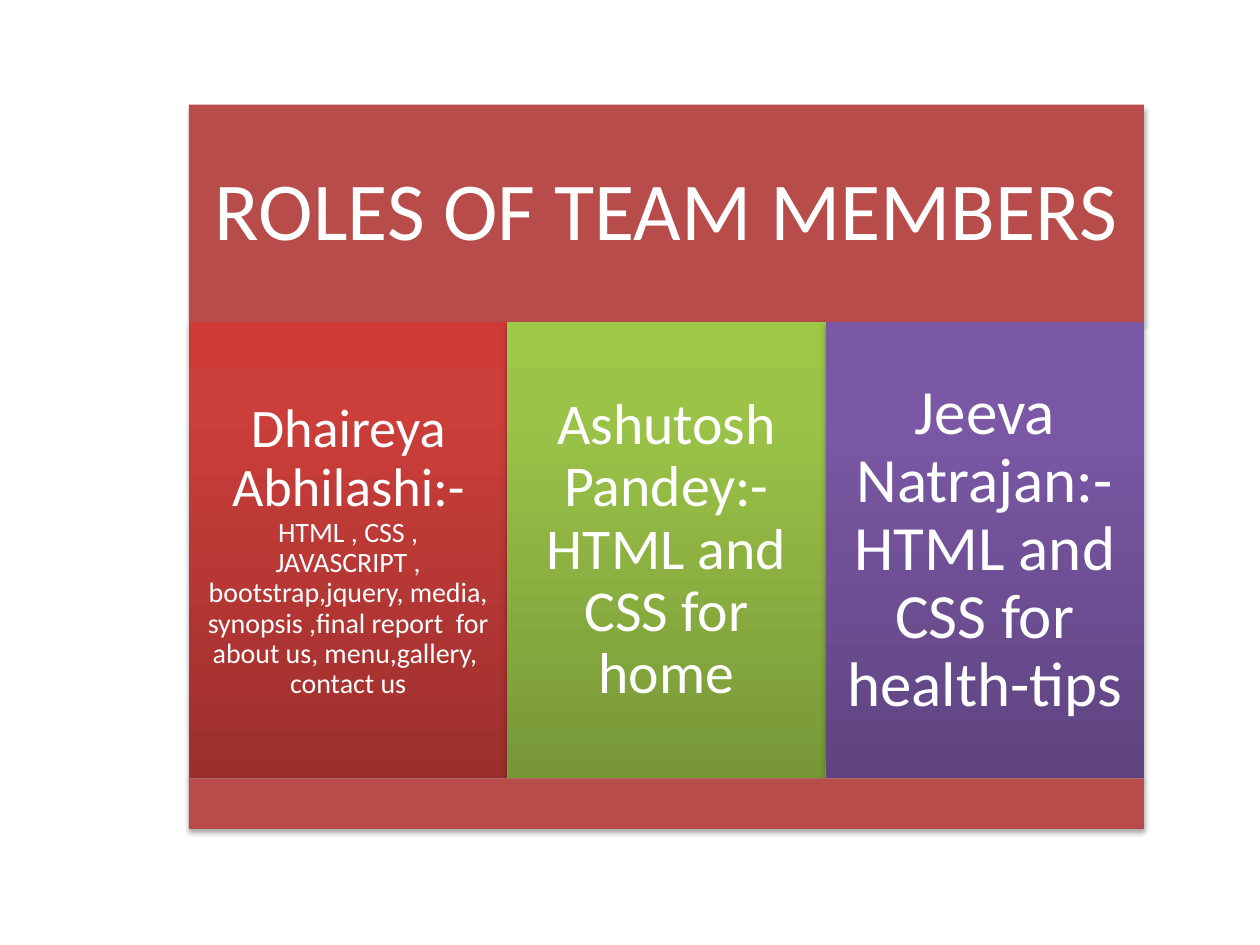
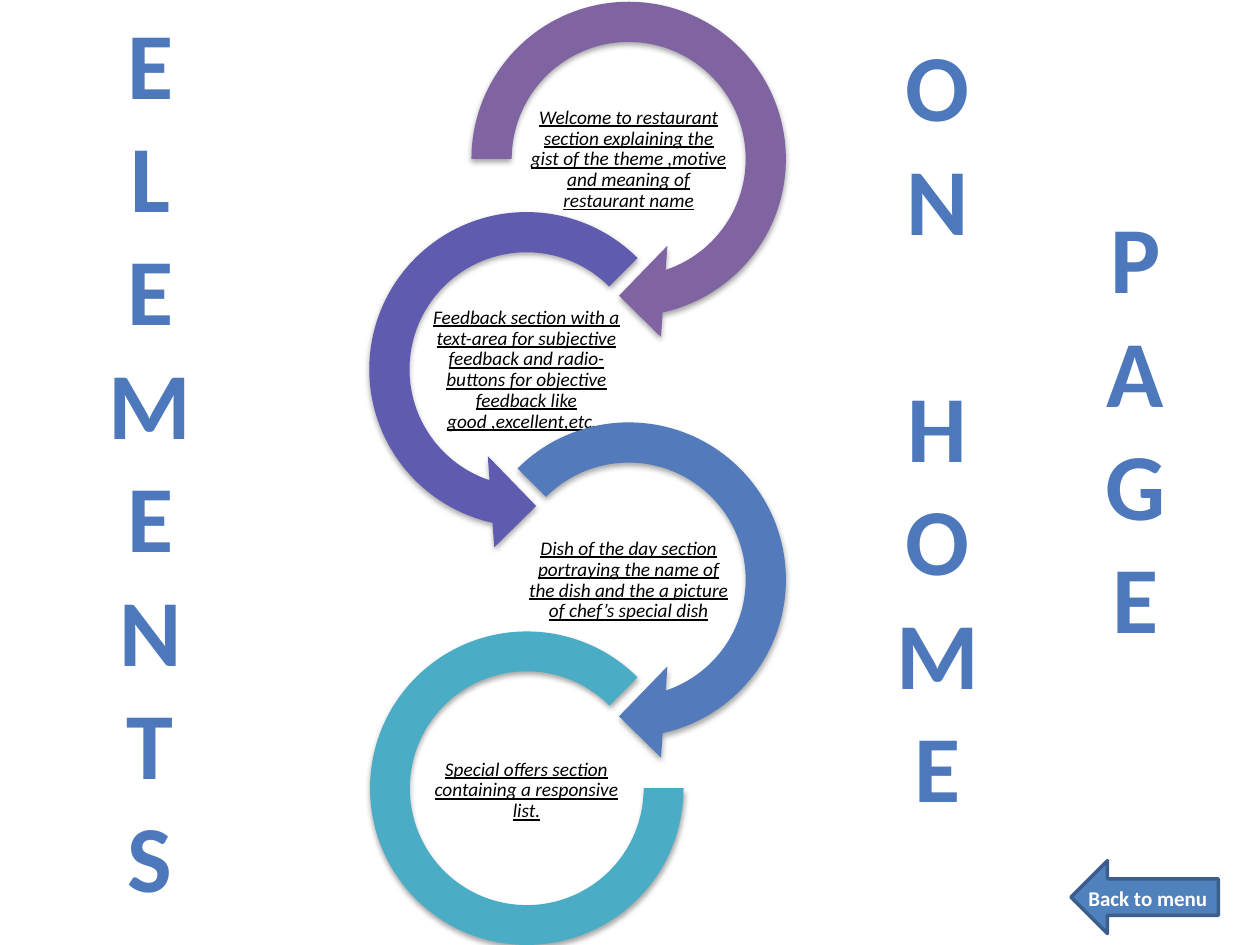
from copy import deepcopy

from lxml.etree import SubElement
from pptx import Presentation
from pptx.dml.color import RGBColor
from pptx.enum.shapes import MSO_SHAPE
from pptx.enum.text import MSO_ANCHOR, PP_ALIGN
from pptx.oxml.ns import qn
from pptx.util import Cm, Pt

WHITE = RGBColor(0xFF, 0xFF, 0xFF)
BLACK = RGBColor(0x00, 0x00, 0x00)
BRICK = RGBColor(0xB7, 0x4C, 0x4A)
REDS = RGBColor(0x9C, 0x2F, 0x2D), RGBColor(0xCB, 0x3E, 0x3A), RGBColor(0xCE, 0x3B, 0x37)
GREENS = RGBColor(0x77, 0x97, 0x37), RGBColor(0x9B, 0xC3, 0x48), RGBColor(0x9D, 0xC7, 0x46)
PLUMS = RGBColor(0x5F, 0x44, 0x80), RGBColor(0x7B, 0x58, 0xA6), RGBColor(0x7C, 0x57, 0xA8)
MAUVE = RGBColor(0x80, 0x64, 0xA2)
INDIGO = RGBColor(0x5F, 0x5B, 0xAE)
AZURE = RGBColor(0x53, 0x7A, 0xBA)
TEAL = RGBColor(0x4B, 0xAC, 0xC6)
LETTER = RGBColor(0x4D, 0x79, 0xBC)
BLUE = RGBColor(0x4F, 0x81, 0xBD)
NAVY = RGBColor(0x3A, 0x5F, 0x8C)


class Deck:
    """Hold the shared style and the current slide, and draw its elements."""

    face = "Calibri"

    def __init__(self):
        self.show = Presentation()
        self.show.slide_width, self.show.slide_height = Cm(25.4), Cm(19.05)
        self.slide = None

    def page(self):
        self.slide = self.show.slides.add_slide(self.show.slide_layouts[6])

    def shape(self, kind, box, fill, adjust=(), line=None, shade=True):
        item = self.slide.shapes.add_shape(kind, *map(Cm, box))
        for spot, value in enumerate(adjust):
            item.adjustments[spot] = value
        if isinstance(fill, RGBColor):
            item.fill.solid()
            item.fill.fore_color.rgb = fill
        else:
            self.blend(item, fill)
        if line:
            item.line.color.rgb = line
            item.line.width = Pt(2)
        else:
            item.line.fill.background()
        item.shadow.inherit = False
        if shade:
            self.shade(item)
        return item

    def blend(self, item, tones):
        item.fill.gradient()
        item.fill.gradient_angle = 90
        stops = item._element.spPr.find(".//" + qn("a:gsLst"))
        stops.append(deepcopy(stops[-1]))
        for stop, place, tone in zip(item.fill.gradient_stops, (0, 0.8, 1), tones):
            stop.position = place
            stop.color.rgb = tone

    def shade(self, item):
        effects = item._element.spPr.find(qn("a:effectLst"))
        outer = SubElement(effects, qn("a:outerShdw"), blurRad="40000", dist="23000",
                           dir="5400000", rotWithShape="0")
        tone = SubElement(outer, qn("a:srgbClr"), val=str(BLACK))
        SubElement(tone, qn("a:alpha"), val="35000")

    def label(self, box, lines, size, tone, **style):
        item = self.slide.shapes.add_textbox(*map(Cm, box))
        self.letter(item, lines, size, tone, **style)
        return item

    def letter(self, item, lines, size, tone, pad=None, wrap=True, space=None,
               anchor=MSO_ANCHOR.MIDDLE, align=PP_ALIGN.CENTER, **marks):
        frame = item.text_frame
        frame.word_wrap = wrap
        frame.vertical_anchor = anchor
        if pad is not None:
            frame.margin_left = frame.margin_right = Cm(pad)
            frame.margin_top = frame.margin_bottom = Cm(pad)
        frame.text = "\n".join(lines)
        for para in frame.paragraphs:
            para.alignment = align
            para.line_spacing = space
            font = para.font
            font.name, font.size, font.color.rgb = self.face, Pt(size), tone
            font.bold = marks.get("bold")
            font.italic = marks.get("italic")
            font.underline = marks.get("underline")

    def column(self, box, word):
        item = self.label(box, word.replace(" ", ""), 54, LETTER, wrap=False,
                          anchor=MSO_ANCHOR.TOP, bold=True)
        if " " in word:
            item.text_frame.paragraphs[word.index(" ")].space_before = Pt(65)


def roles(deck):
    deck.page()
    left, width = 3.81, 19.25
    head = deck.shape(MSO_SHAPE.RECTANGLE, (left, 2.11, width, 4.39), BRICK)
    deck.letter(head, ["ROLES OF TEAM MEMBERS"], 47, WHITE, pad=0.5, space=0.9)
    team = [
        ("Dhaireya Abhilashi:-", 31, REDS, 0.33),
        ("Ashutosh Pandey:-HTML and CSS for home", 33, GREENS, 0.36),
        ("Jeeva Natrajan:-HTML and CSS for health-tips", 36, PLUMS, 0.38),
    ]
    step = width / len(team)
    cards = []
    for spot, (text, size, tones, pad) in enumerate(team):
        card = deck.shape(MSO_SHAPE.RECTANGLE, (left + spot * step, 6.5, step, 9.19), tones)
        deck.letter(card, [text], size, WHITE, pad=pad, space=0.9)
        cards.append(card)
    tasks = cards[0].text_frame.paragraphs[0].add_run()
    tasks.text = ("HTML , CSS , JAVASCRIPT , bootstrap,jquery, media, synopsis ,final report  for "
                  "about us, menu,gallery,  contact us")
    tasks.font.size = Pt(16)
    deck.shape(MSO_SHAPE.RECTANGLE, (left, 15.69, width, 1.02), BRICK)


def parts(deck):
    deck.page()
    right, turn = MSO_SHAPE.CIRCULAR_ARROW, MSO_SHAPE.LEFT_CIRCULAR_ARROW
    rings = [
        (right, MAUVE, (0.11, 11.423, 45, 108, 0.125),
         "Welcome to restaurant section explaining the gist of the theme ,motive "
         "and meaning of restaurant name"),
        (turn, INDIGO, (0.11, 11.423, 63, 189, 0.125),
         "Feedback section with a text-area for subjective feedback and radio-buttons "
         "for objective feedback like good ,excellent,etc…"),
        (right, AZURE, (0.11, 11.423, 45, 135, 0.125),
         "Dish of the day section portraying the name of the dish and the a picture "
         "of chef’s special dish"),
        (MSO_SHAPE.BLOCK_ARC, TEAL, (0, 189, 0.127),
         "Special offers section containing a responsive list."),
    ]
    for spot, (kind, tone, adjust, text) in enumerate(rings):
        left, top = (8.99, 6.93)[spot % 2], 4.24 * spot - 0.48
        box = (left, top, 7.37, 7.37)
        if kind == MSO_SHAPE.BLOCK_ARC:
            box = (left + 0.53, top + 0.49, 6.32, 6.32)
        deck.shape(kind, box, tone, adjust)
        deck.label((left + 1.63, top + 2.67, 4.11, 2.06), [text], 11, BLACK,
                   pad=0.03, space=0.9, italic=True, underline=True)
    deck.column((1.9, -0.03, 2.26, 18.7), "ELEMENTS")
    deck.column((17.81, 0.43, 2.18, 16.41), "ON HOME")
    deck.column((22.02, 3.89, 1.73, 9.5), "PAGE")
    deck.shape(MSO_SHAPE.LEFT_ARROW, (21.59, 17.35, 2.97, 1.47), BLUE, line=NAVY, shade=False)
    deck.label((21.69, 17.73, 3.5, 0.76), ["Back to menu"], 12, WHITE,
               anchor=MSO_ANCHOR.TOP, align=PP_ALIGN.LEFT, bold=True)


def main():
    deck = Deck()
    roles(deck)
    parts(deck)
    deck.show.save("out.pptx")


if __name__ == "__main__":
    main()
